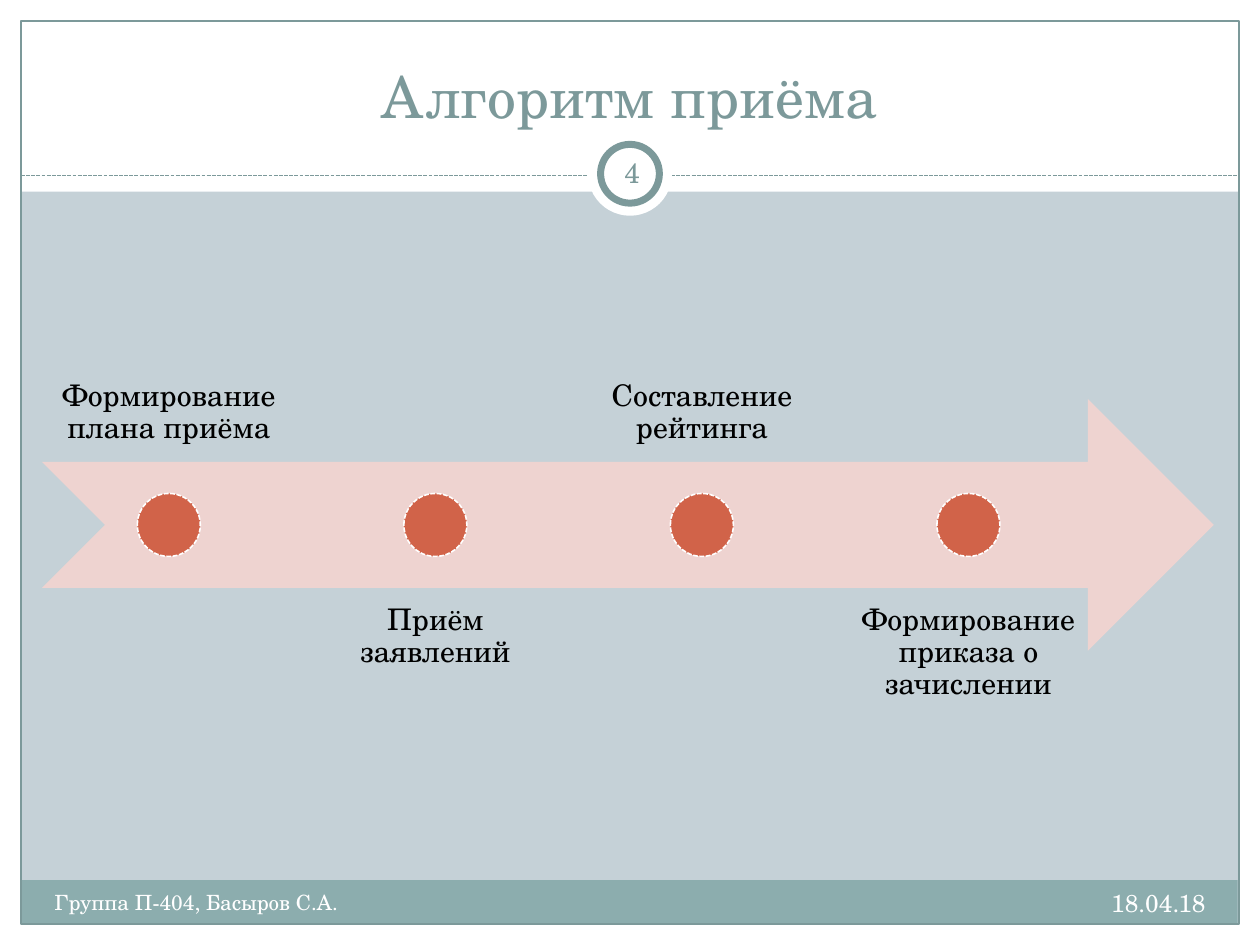
from lxml import etree
from pptx import Presentation
from pptx.dml.color import RGBColor
from pptx.enum.dml import MSO_LINE
from pptx.enum.shapes import MSO_CONNECTOR, MSO_SHAPE
from pptx.enum.text import MSO_ANCHOR, PP_ALIGN
from pptx.oxml.ns import qn
from pptx.util import Pt

RECTANGLE, OVAL = MSO_SHAPE.RECTANGLE, MSO_SHAPE.OVAL
ARROW = MSO_SHAPE.NOTCHED_RIGHT_ARROW
STRAIGHT = MSO_CONNECTOR.STRAIGHT
DASH = MSO_LINE.SQUARE_DOT
LEFT, CENTER, RIGHT = PP_ALIGN.LEFT, PP_ALIGN.CENTER, PP_ALIGN.RIGHT
TOP, MIDDLE, BOTTOM = MSO_ANCHOR.TOP, MSO_ANCHOR.MIDDLE, MSO_ANCHOR.BOTTOM

WHITE = RGBColor(0xFF, 0xFF, 0xFF)
BLACK = RGBColor(0x00, 0x00, 0x00)
BACKGROUND = RGBColor(0xC5, 0xD1, 0xD7)
TEAL = RGBColor(0x7C, 0x99, 0x9A)
FOOTER_TEAL = RGBColor(0x8C, 0xAD, 0xAE)
PINK = RGBColor(0xEE, 0xD3, 0xD0)
RUST = RGBColor(0xD1, 0x63, 0x49)

FONT = "TeX Gyre Schola"
WIDTH, HEIGHT = 720, 540
MARGIN = 12
STEPS = [
    "Формирование плана приёма",
    "Приём заявлений",
    "Составление рейтинга",
    "Формирование приказа о зачислении",
]
STEP_LEFT, STEP_GAP, STEP_WIDTH, STEP_HEIGHT = 24, 152.3, 145, 144
ARROW_TOP, DOT_SIZE = 228, 36


def set_values(target, values):
    """Set each named attribute of the target."""
    for name, value in values.items():
        setattr(target, name, value)


def add_figure(page, kind, box, fill=None, line=None, width=0.75, dash=None):
    """Add a preset shape with an optional fill and outline."""
    shape = page.shapes.add_shape(kind, *map(Pt, box))
    shape.shadow.inherit = False
    if fill is None:
        shape.fill.background()
    else:
        shape.fill.solid()
        shape.fill.fore_color.rgb = fill
    if line is None:
        shape.line.fill.background()
    else:
        shape.line.color.rgb = line
        set_values(shape.line, {"width": Pt(width), "dash_style": dash})


def add_divider(page, left, right, top):
    """Add the dashed horizontal line under the title."""
    line = page.shapes.add_connector(STRAIGHT, Pt(left), Pt(top), Pt(right), Pt(top))
    line.line.color.rgb = TEAL
    set_values(line.line, {"width": Pt(0.75), "dash_style": DASH})
    etree.SubElement(line._element.spPr, qn("a:effectLst"))


def add_text(page, text, box, size, color, align=CENTER, anchor=TOP,
             insets=(7.2, 3.6), spacing=1.0):
    """Add a wrapped text box holding one paragraph."""
    frame = page.shapes.add_textbox(*map(Pt, box)).text_frame
    side, edge = map(Pt, insets)
    set_values(frame, {
        "word_wrap": True, "vertical_anchor": anchor,
        "margin_left": side, "margin_right": side,
        "margin_top": edge, "margin_bottom": edge,
    })
    para = frame.paragraphs[0]
    set_values(para, {"alignment": align, "line_spacing": spacing})
    span = para.add_run()
    span.text = text
    set_values(span.font, {"name": FONT, "size": Pt(size)})
    span.font.color.rgb = color


def add_frame(page):
    """Draw the white margins, footer band, border and number ring."""
    for box in (
        (0, HEIGHT - MARGIN, WIDTH, MARGIN),
        (0, 0, WIDTH, 109.5),
        (0, 0, MARGIN, HEIGHT),
        (WIDTH - MARGIN, 0, MARGIN, HEIGHT),
    ):
        add_figure(page, RECTANGLE, box, WHITE)
    add_figure(page, RECTANGLE, (11.75, 503, 695.5, 24.5), FOOTER_TEAL)
    border = (MARGIN, MARGIN, WIDTH - 2 * MARGIN, HEIGHT - 2 * MARGIN)
    add_figure(page, RECTANGLE, border, line=TEAL)
    add_divider(page, MARGIN, WIDTH - MARGIN, 100.5)
    add_figure(page, OVAL, (336, 75.3, 48, 48), WHITE)
    add_figure(page, OVAL, (343.2, 82.5, 33.6, 33.6), WHITE, TEAL, 4)


def add_step(page, index, text):
    """Add a dot on the arrow and its label, alternating above and below."""
    left = STEP_LEFT + index * STEP_GAP
    below = index % 2 == 1
    top = ARROW_TOP + 108 if below else ARROW_TOP - 108
    add_text(page, text, (left, top, STEP_WIDTH, STEP_HEIGHT), 17, BLACK,
             anchor=TOP if below else BOTTOM, insets=(9.5, 9.5), spacing=0.9)
    dot_left = left + (STEP_WIDTH - DOT_SIZE) / 2
    dot_top = ARROW_TOP + (STEP_HEIGHT - DOT_SIZE) / 2
    add_figure(page, OVAL, (dot_left, dot_top, DOT_SIZE, DOT_SIZE),
               RUST, WHITE, 0.9, DASH)


def main():
    """Build the admission process slide and save it."""
    deck = Presentation()
    set_values(deck, {"slide_width": Pt(WIDTH), "slide_height": Pt(HEIGHT)})
    page = deck.slides.add_slide(deck.slide_layouts[6])
    page.background.fill.solid()
    page.background.fill.fore_color.rgb = BACKGROUND
    add_frame(page)
    add_text(page, "Алгоритм приёма", (24, 18, 672, 60), 33, TEAL, anchor=BOTTOM)
    add_text(page, "18.04.18", (456, 504, 240, 28.8), 14, WHITE, RIGHT)
    add_text(page, "Группа П-404, Басыров С.А.", (24, 504.5, 282, 28.8), 12, WHITE, LEFT)
    add_text(page, "4", (343.2, 80.9, 36, 34.7), 16, TEAL,
             anchor=MIDDLE, insets=(3.6, 3.6))
    add_figure(page, ARROW, (STEP_LEFT, ARROW_TOP, 669.6, STEP_HEIGHT), PINK)
    for index, text in enumerate(STEPS):
        add_step(page, index, text)
    deck.save("out.pptx")


if __name__ == "__main__":
    main()
